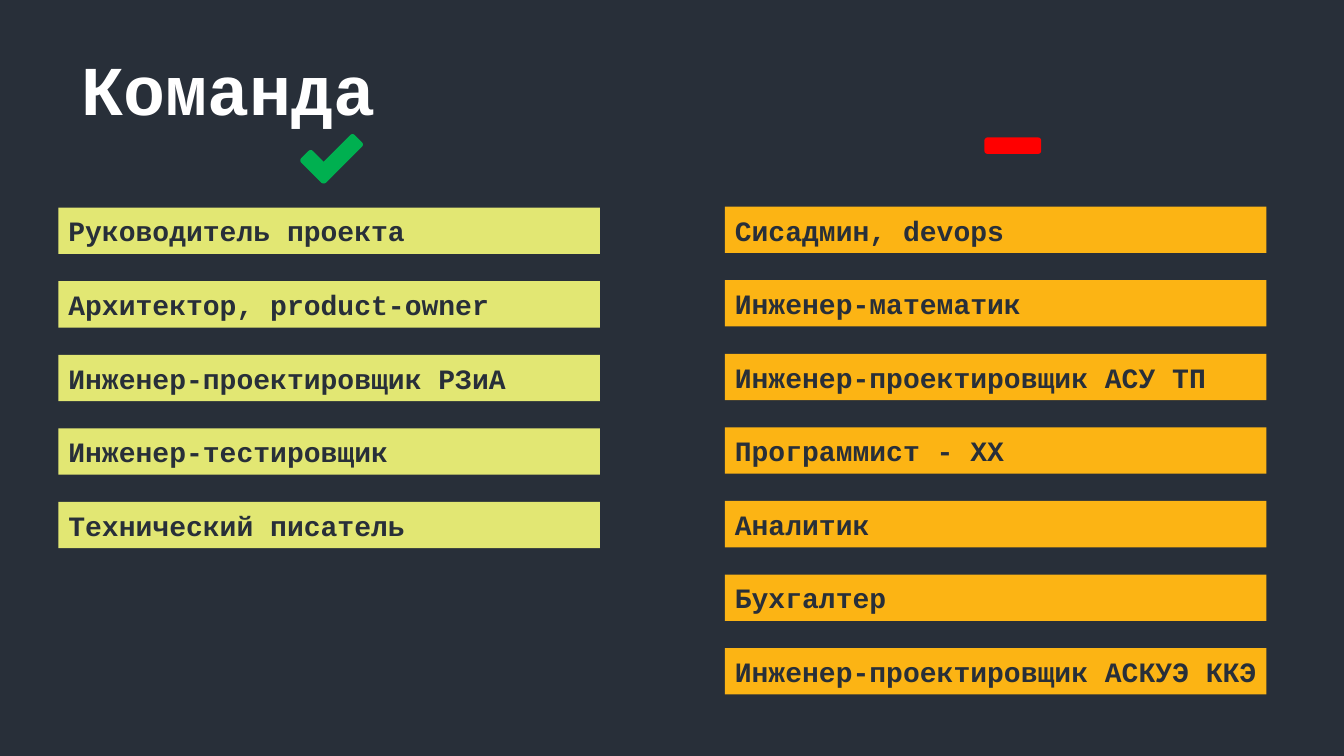
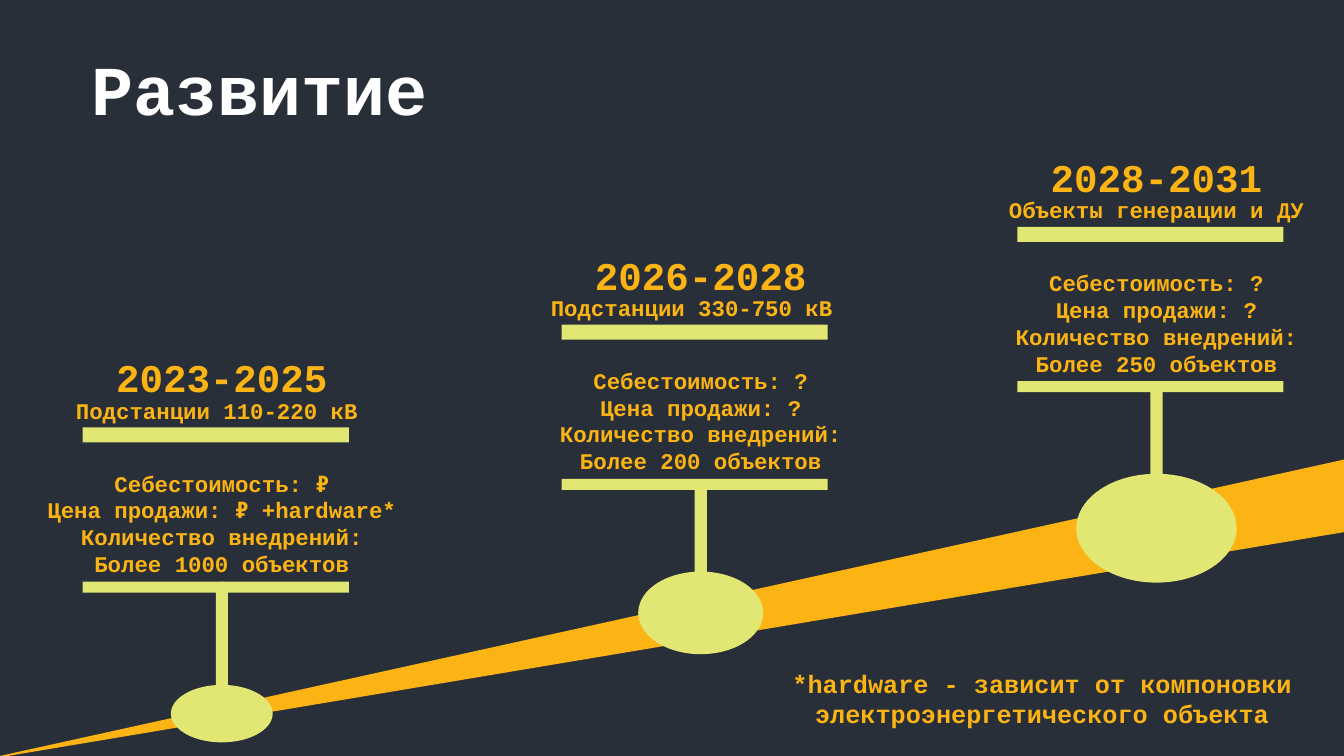
from dataclasses import dataclass

from pptx import Presentation
from pptx.dml.color import RGBColor
from pptx.enum.shapes import MSO_SHAPE as Preset
from pptx.enum.text import MSO_ANCHOR as Anchor, MSO_AUTO_SIZE as AutoSize, PP_ALIGN as Align
from pptx.presentation import Presentation as Deck
from pptx.shapes.base import BaseShape
from pptx.slide import Slide
from pptx.text.text import TextFrame
from pptx.util import Inches, Pt


@dataclass(frozen=True)
class Theme:
    font: str = "Courier New"
    dark: str = "282F39"
    white: str = "FFFFFF"
    lime: str = "E2E773"
    amber: str = "FCB414"
    green: str = "00B050"
    red: str = "FF0000"
    title_size: int = 50
    years_size: int = 28
    role_size: int = 20
    note_size: int = 18
    detail_size: int = 16


THEME = Theme()


@dataclass(frozen=True)
class Box:
    left: float
    top: float
    width: float
    height: float

    def lengths(self) -> tuple[Inches, Inches, Inches, Inches]:
        return Inches(self.left), Inches(self.top), Inches(self.width), Inches(self.height)

    @classmethod
    def centered(cls, center: float, top: float, width: float, height: float) -> "Box":
        return cls(center - width / 2, top, width, height)


@dataclass(frozen=True)
class RoleColumn:
    left: float
    top: float
    color: str
    roles: tuple[str, ...]


@dataclass(frozen=True)
class Milestone:
    left: float
    top: float
    years: str
    caption: str
    caption_center: float
    details: tuple[str, ...]
    node_center: float
    node_width: float
    node_height: float


ROLE_WIDTH, ROLE_HEIGHT, ROLE_PITCH = 5.37, 0.46, 0.73
ROLE_COLUMNS = (
    RoleColumn(0.58, 2.06, THEME.lime, (
        "Руководитель проекта",
        "Архитектор, product-owner",
        "Инженер-проектировщик РЗиА",
        "Инженер-тестировщик",
        "Технический писатель",
    )),
    RoleColumn(7.19, 2.05, THEME.amber, (
        "Сисадмин, devops",
        "Инженер-математик",
        "Инженер-проектировщик АСУ ТП",
        "Программист - ХХ",
        "Аналитик",
        "Бухгалтер",
        "Инженер-проектировщик АСКУЭ ККЭ",
    )),
)

CHECK_STROKES = ((Box(2.98, 1.58, 0.33, 0.15), 45), (Box(3.08, 1.5, 0.55, 0.15), 135))
MINUS = Box(9.77, 1.37, 0.55, 0.15)

BAR_WIDTH, STEM_WIDTH, AXIS = 2.64, 0.12, 1.38
MILESTONES = (
    Milestone(0.82, 4.24, "2023-2025", "Подстанции 110-220 кВ", 1.33, (
        "Себестоимость: ₽",
        "Цена продажи: ₽ +hardware*",
        "Количество внедрений:",
        "Более 1000 объектов",
    ), 2.84, 1.01, 0.57),
    Milestone(5.57, 3.22, "2026-2028", "Подстанции 330-750 кВ", 1.29, (
        "Себестоимость: ?",
        "Цена продажи: ?",
        "Количество внедрений:",
        "Более 200 объектов",
    ), 2.86, 1.24, 0.82),
    Milestone(10.09, 2.25, "2028-2031", "Объекты генерации и ДУ", 1.38, (
        "Себестоимость: ?",
        "Цена продажи: ?",
        "Количество внедрений:",
        "Более 250 объектов",
    ), 2.99, 1.59, 1.08),
)
ROAD = ((13.33, 4.56), (13.33, 5.28), (0.08, 7.5), (0, 7.5))


def paint(shape: BaseShape, color: str) -> None:
    shape.shadow.inherit = False
    shape.fill.solid()
    shape.fill.fore_color.rgb = RGBColor.from_string(color)
    shape.line.fill.background()


def add_block(slide: Slide, preset: Preset, box: Box, color: str) -> BaseShape:
    shape = slide.shapes.add_shape(preset, *box.lengths())
    paint(shape, color)
    return shape


def add_stroke(slide: Slide, box: Box, color: str, angle: float = 0) -> None:
    """Draw one outlined rounded bar of a sign."""
    stroke = add_block(slide, Preset.ROUNDED_RECTANGLE, box, color)
    stroke.rotation = angle
    stroke.line.color.rgb = RGBColor.from_string(color)
    stroke.line.width = Pt(1)


def write(frame: TextFrame, lines: tuple[str, ...], size: int, color: str,
          align: Align = Align.CENTER, anchor: Anchor = Anchor.TOP) -> None:
    frame_format = {"word_wrap": True, "auto_size": AutoSize.NONE, "vertical_anchor": anchor}
    for name, value in frame_format.items():
        setattr(frame, name, value)
    font_format = {"name": THEME.font, "size": Pt(size), "bold": True}
    for index, line in enumerate(lines):
        para = frame.add_paragraph() if index else frame.paragraphs[0]
        para.alignment = align
        span = para.add_run()
        span.text = line
        for name, value in font_format.items():
            setattr(span.font, name, value)
        span.font.color.rgb = RGBColor.from_string(color)


def add_text(slide: Slide, box: Box, lines: tuple[str, ...], size: int) -> None:
    frame = slide.shapes.add_textbox(*box.lengths()).text_frame
    write(frame, lines, size, THEME.amber)


def add_page(deck: Deck, title: str, left: float) -> Slide:
    page = deck.slides.add_slide(deck.slide_layouts.get_by_name("Title Only"))
    holder = page.shapes.title
    holder.left, holder.top, holder.width, holder.height = Box(left, 0.4, 12.22, 0.94).lengths()
    write(holder.text_frame, (title,), THEME.title_size, THEME.white, Align.LEFT)
    return page


def add_roles(slide: Slide, column: RoleColumn) -> None:
    for row, role in enumerate(column.roles):
        box = Box(column.left, column.top + row * ROLE_PITCH, ROLE_WIDTH, ROLE_HEIGHT)
        bar = add_block(slide, Preset.RECTANGLE, box, column.color)
        bar.text_frame.margin_right = 0
        write(bar.text_frame, (role,), THEME.role_size, THEME.dark, Align.LEFT, Anchor.MIDDLE)


def add_milestone(slide: Slide, stone: Milestone) -> None:
    left, top, axis = stone.left, stone.top, stone.left + AXIS
    node_top = top + stone.node_center - stone.node_height / 2
    node = Box.centered(axis, node_top, stone.node_width, stone.node_height)
    add_block(slide, Preset.OVAL, node, THEME.lime)
    stem = Box.centered(axis, top + 1.53, STEM_WIDTH, 1.39)
    add_block(slide, Preset.ROUNDED_RECTANGLE, stem, THEME.lime).adjustments[0] = 0.5
    for drop, height in ((0, 0.15), (1.53, 0.11)):
        add_block(slide, Preset.RECTANGLE, Box(left, top + drop, BAR_WIDTH, height), THEME.lime)

    add_text(slide, Box.centered(axis, top - 0.78, 3, 0.57), (stone.years,), THEME.years_size)
    caption = Box.centered(left + stone.caption_center, top - 0.35, 3.2, 0.37)
    add_text(slide, caption, (stone.caption,), THEME.detail_size)
    add_text(slide, Box.centered(axis, top + 0.37, 3.7, 1.18), stone.details, THEME.detail_size)


def add_road(slide: Slide) -> None:
    points = [(Inches(x), Inches(y)) for x, y in ROAD]
    builder = slide.shapes.build_freeform(*points[0])
    builder.add_line_segments(points[1:], close=True)
    paint(builder.convert_to_shape(), THEME.amber)


def build_team(deck: Deck) -> None:
    page = add_page(deck, "Команда", 0.71)
    for box, angle in CHECK_STROKES:
        add_stroke(page, box, THEME.green, angle)
    add_stroke(page, MINUS, THEME.red)
    for column in ROLE_COLUMNS:
        add_roles(page, column)


def build_growth(deck: Deck) -> None:
    page = add_page(deck, "Развитие", 0.81)
    add_road(page)
    for stone in MILESTONES:
        add_milestone(page, stone)
    note = "*hardware - зависит от компоновки электроэнергетического объекта"
    add_text(page, Box(7.42, 6.58, 5.83, 0.71), (note,), THEME.note_size)


def main() -> None:
    deck = Presentation()
    deck.slide_width, deck.slide_height = Inches(13.33), Inches(7.5)
    backdrop = deck.slide_master.background.fill
    backdrop.solid()
    backdrop.fore_color.rgb = RGBColor.from_string(THEME.dark)
    build_team(deck)
    build_growth(deck)
    deck.save("out.pptx")


if __name__ == "__main__":
    main()
